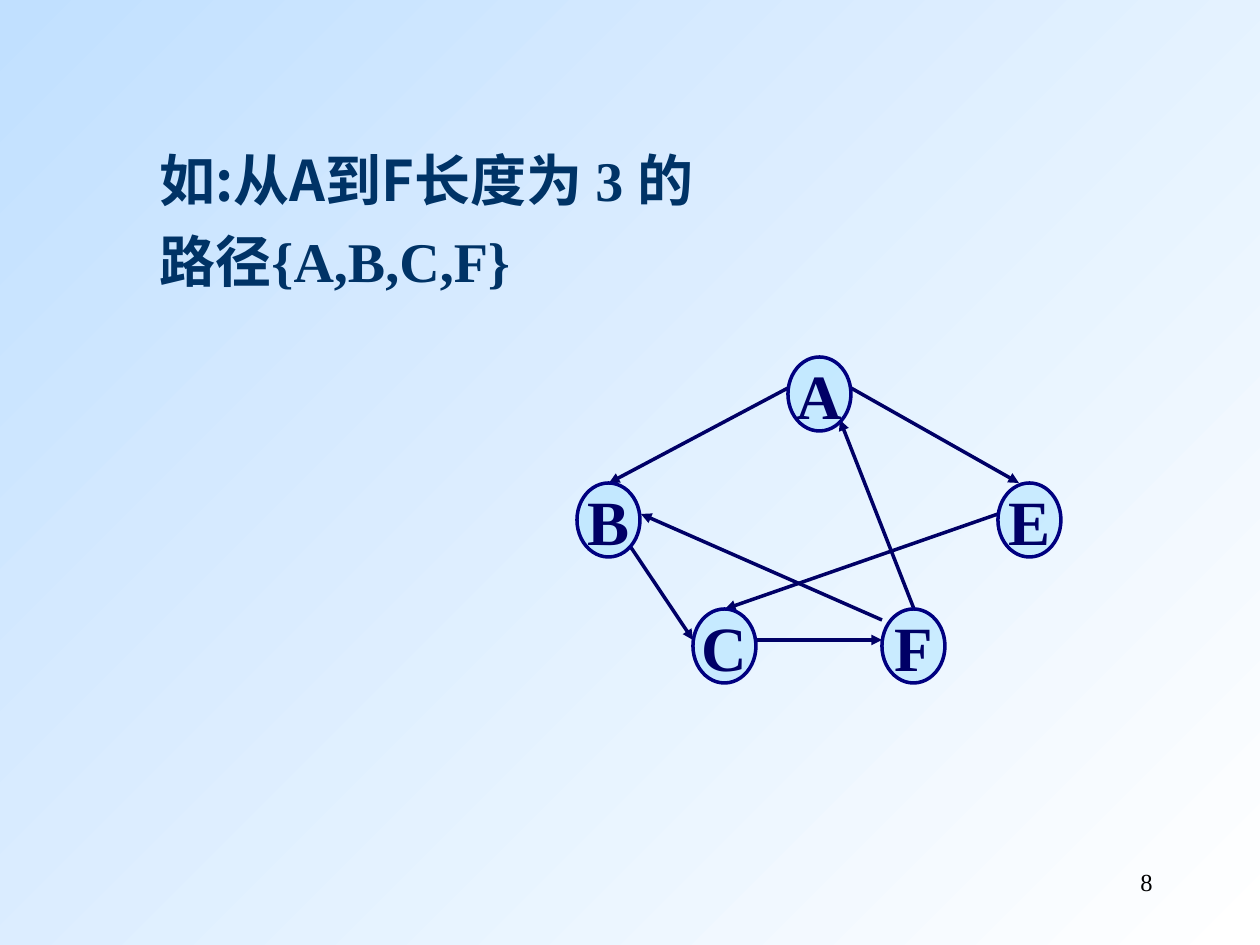
"""Builds a slide with a directed graph and an example path of length 3."""
from typing import NamedTuple

import lxml.etree
import pptx
import pptx.dml.color
import pptx.enum.dml
import pptx.enum.shapes
import pptx.enum.text
import pptx.oxml.ns
import pptx.util

PX = pptx.util.Inches(1) / 126
SERIF = "Times New Roman"
SANS = "Noto Sans CJK SC"
INK = "000066"
NODE_WIDTH, NODE_HEIGHT = 63, 74


class Node(NamedTuple):
    label: str
    left: int
    top: int


class Edge(NamedTuple):
    start: tuple[int, int]
    end: tuple[int, int]


NODES = [
    Node("A", 788, 357),
    Node("B", 577, 483),
    Node("E", 998, 483),
    Node("C", 693, 609),
    Node("F", 882, 609),
]
EDGES = [
    Edge((788, 388), (609, 483)),
    Edge((630, 546), (693, 640)),
    Edge((756, 640), (882, 640)),
    Edge((914, 609), (840, 420)),
    Edge((851, 388), (1019, 483)),
    Edge((882, 620), (641, 514)),
    Edge((998, 514), (725, 609)),
]
PATH_EXAMPLE = [
    ("如:从A到F长度为 ", SANS),
    ("3 ", SERIF),
    ("的路径", SANS),
    ("{A,B,C,F}", SERIF),
]


def emu(px: int) -> int:
    """Turn pixels into EMU."""
    return round(px * PX)


def rgb(code: str) -> pptx.dml.color.RGBColor:
    """Turn a hex string into a colour."""
    return pptx.dml.color.RGBColor.from_string(code)


def add_child(parent, tag: str, **attributes: str):
    """Append a DrawingML element to its parent."""
    return lxml.etree.SubElement(parent, pptx.oxml.ns.qn(tag), attributes)


def add_run(paragraph, words: str, typeface: str, size: int, color: str, bold: bool) -> None:
    """Add a run with one typeface for Latin and Chinese characters."""
    run = paragraph.add_run()
    run.text = words
    run.font.size = pptx.util.Pt(size)
    run.font.bold = bold
    run.font.color.rgb = rgb(color)
    run.font.name = typeface
    add_child(run.font._element, "a:ea", typeface=typeface)


def add_textbox(slide, left: int, top: int, width: int, height: int):
    """Add a wrapping text box and return its first paragraph."""
    frame = slide.shapes.add_textbox(emu(left), emu(top), emu(width), emu(height)).text_frame
    frame.word_wrap = True
    return frame.paragraphs[0]


def paint_background(slide) -> None:
    """Fill the slide with a diagonal gradient."""
    fill = slide.background.fill
    fill.gradient()
    fill.gradient_angle = 315
    for stop, color in zip(fill.gradient_stops, ("C1E0FF", "FFFFFF")):
        stop.color.rgb = rgb(color)


def draw_edge(shapes, edge: Edge) -> None:
    """Draw an arrow from one node to another."""
    arrow = shapes.add_connector(
        pptx.enum.shapes.MSO_CONNECTOR.STRAIGHT, *map(emu, edge.start + edge.end)
    )
    arrow.line.color.rgb = rgb(INK)
    arrow.line.width = pptx.util.Pt(2)
    add_child(arrow.line._get_or_add_ln(), "a:tailEnd", type="triangle")
    add_child(arrow._element.spPr, "a:effectLst")


def draw_node(shapes, node: Node) -> None:
    """Draw a half-transparent ellipse with its letter."""
    ellipse = shapes.add_shape(
        pptx.enum.shapes.MSO_SHAPE.OVAL,
        *map(emu, (node.left, node.top, NODE_WIDTH, NODE_HEIGHT)),
    )
    ellipse.shadow.inherit = False
    ellipse.fill.solid()
    ellipse.fill.fore_color.rgb = rgb("A7E2FF")
    color = ellipse._element.spPr.find(".//" + pptx.oxml.ns.qn("a:srgbClr"))
    add_child(color, "a:alpha", val="50000")
    ellipse.line.color.rgb = rgb("000080")
    ellipse.line.width = pptx.util.Pt(2)
    frame = ellipse.text_frame
    frame.word_wrap = False
    frame.vertical_anchor = pptx.enum.text.MSO_ANCHOR.MIDDLE
    letter = frame.paragraphs[0]
    letter.alignment = pptx.enum.text.PP_ALIGN.CENTER
    add_run(letter, node.label, SERIF, 36, INK, True)


def main() -> None:
    """Build and save the slide."""
    deck = pptx.Presentation()
    deck.slide_width = emu(1260)
    deck.slide_height = emu(945)
    slide = deck.slides.add_slide(deck.slide_layouts[6])
    paint_background(slide)

    page_number = add_textbox(slide, 903, 861, 262, 63)
    page_number.alignment = pptx.enum.text.PP_ALIGN.RIGHT
    add_run(page_number, "8", SERIF, 14, "000000", False)

    graph = slide.shapes.add_group_shape()
    for edge in EDGES:
        draw_edge(graph.shapes, edge)
    for node in NODES:
        draw_node(graph.shapes, node)

    example = add_textbox(slide, 147, 126, 570, 174)
    example.line_spacing = 1.2
    for words, typeface in PATH_EXAMPLE:
        add_run(example, words, typeface, 32, "003366", True)

    deck.save("out.pptx")


if __name__ == "__main__":
    main()
